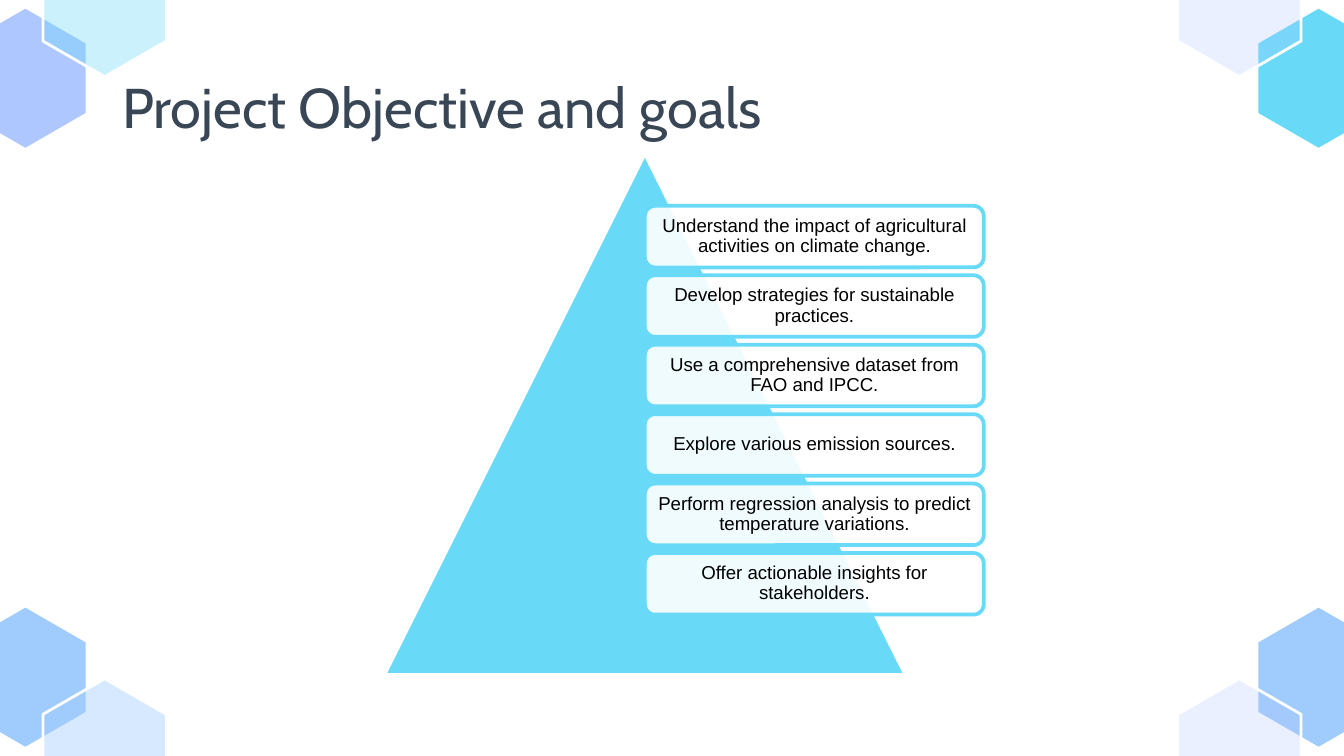
import pptx
import pptx.util
import pptx.dml.color
import pptx.enum.shapes
import pptx.enum.text
import pptx.oxml
import pptx.oxml.ns
from lxml import etree

Pt = pptx.util.Pt
MSO_SHAPE = pptx.enum.shapes.MSO_SHAPE
ANCHOR = pptx.enum.text.MSO_ANCHOR


def color(value):
    return pptx.dml.color.RGBColor.from_string(value)


def style(shape, fill, opacity, line, width):
    shape.shadow.inherit = False
    shape.fill.solid()
    shape.fill.fore_color.rgb = color(fill)
    shape.line.color.rgb = color(line)
    shape.line.width = Pt(width)
    if opacity < 100:
        solid_fill = shape._element.spPr.find(pptx.oxml.ns.qn("a:solidFill"))
        alpha = etree.SubElement(solid_fill[0], pptx.oxml.ns.qn("a:alpha"))
        alpha.set("val", str(opacity * 1000))


presentation = pptx.Presentation()
presentation.slide_width = Pt(720)
presentation.slide_height = Pt(405)
slide = presentation.slides.add_slide(presentation.slide_layouts[6])
shapes = slide.shapes

hexagon_width, hexagon_height = 66.2, 76.4
hexagons = [
    (-19.5, 324.6, "9FCBFD", 100),
    (23, 363.6, "9FCBFD", 41),
    (673.3, 324.6, "9FCBFD", 100),
    (630.8, 363.6, "AFC7FF", 25),
    (-19.5, 3.7, "AFC7FF", 100),
    (23, -35.3, "68DAF8", 34),
    (673.3, 3.7, "68DAF8", 100),
    (630.8, -35.3, "AFC7FF", 25),
]
corners = [(0.5, 0), (0, 0.25), (0, 0.75), (0.5, 1), (1, 0.75), (1, 0.25)]
for left, top, fill, opacity in hexagons:
    points = [(Pt(left + x * hexagon_width), Pt(top + y * hexagon_height)) for x, y in corners]
    builder = shapes.build_freeform(*points[0])
    builder.add_line_segments(points[1:], close=True)
    style(builder.convert_to_shape(), fill, opacity, "FFFFFF", 1.5)

title = shapes.add_textbox(Pt(58.3), Pt(26.6), Pt(499), Pt(55.4))
frame = title.text_frame
frame.word_wrap = True
frame.vertical_anchor = ANCHOR.BOTTOM
frame.margin_left = frame.margin_right = frame.margin_top = frame.margin_bottom = Pt(7.2)
paragraph = frame.paragraphs[0]
paragraph.line_spacing = 1.15
run = paragraph.add_run()
run.text = "Project Objective and goals"
run.font.name = "Cabin"
run.font.size = Pt(30)
run.font.color.rgb = color("384655")

pyramid = shapes.add_shape(MSO_SHAPE.ISOSCELES_TRIANGLE, Pt(205.8), Pt(82.2), Pt(279.4), Pt(279.4))
style(pyramid, "68DAF8", 100, "FFFFFF", 2)

goals = [
    "Understand the impact of agricultural activities on climate change.",
    "Develop strategies for sustainable practices.",
    "Use a comprehensive dataset from FAO and IPCC.",
    "Explore various emission sources.",
    "Perform regression analysis to predict temperature variations.",
    "Offer actionable insights for stakeholders.",
]
for index, goal in enumerate(goals):
    box = shapes.add_shape(
        MSO_SHAPE.ROUNDED_RECTANGLE, Pt(345.5), Pt(110.3 + index * 37.2), Pt(181.6), Pt(33)
    )
    style(box, "FFFFFF", 90, "68DAF8", 2)
    frame = box.text_frame
    frame.word_wrap = True
    frame.vertical_anchor = ANCHOR.MIDDLE
    frame.margin_left = frame.margin_right = frame.margin_top = frame.margin_bottom = Pt(3)
    paragraph = frame.paragraphs[0]
    paragraph.alignment = pptx.enum.text.PP_ALIGN.CENTER
    paragraph.line_spacing = 0.9
    run = paragraph.add_run()
    run.text = goal
    run.font.name = "Arial"
    run.font.size = Pt(10)
    run.font.color.rgb = color("000000")

presentation.save("out.pptx")
